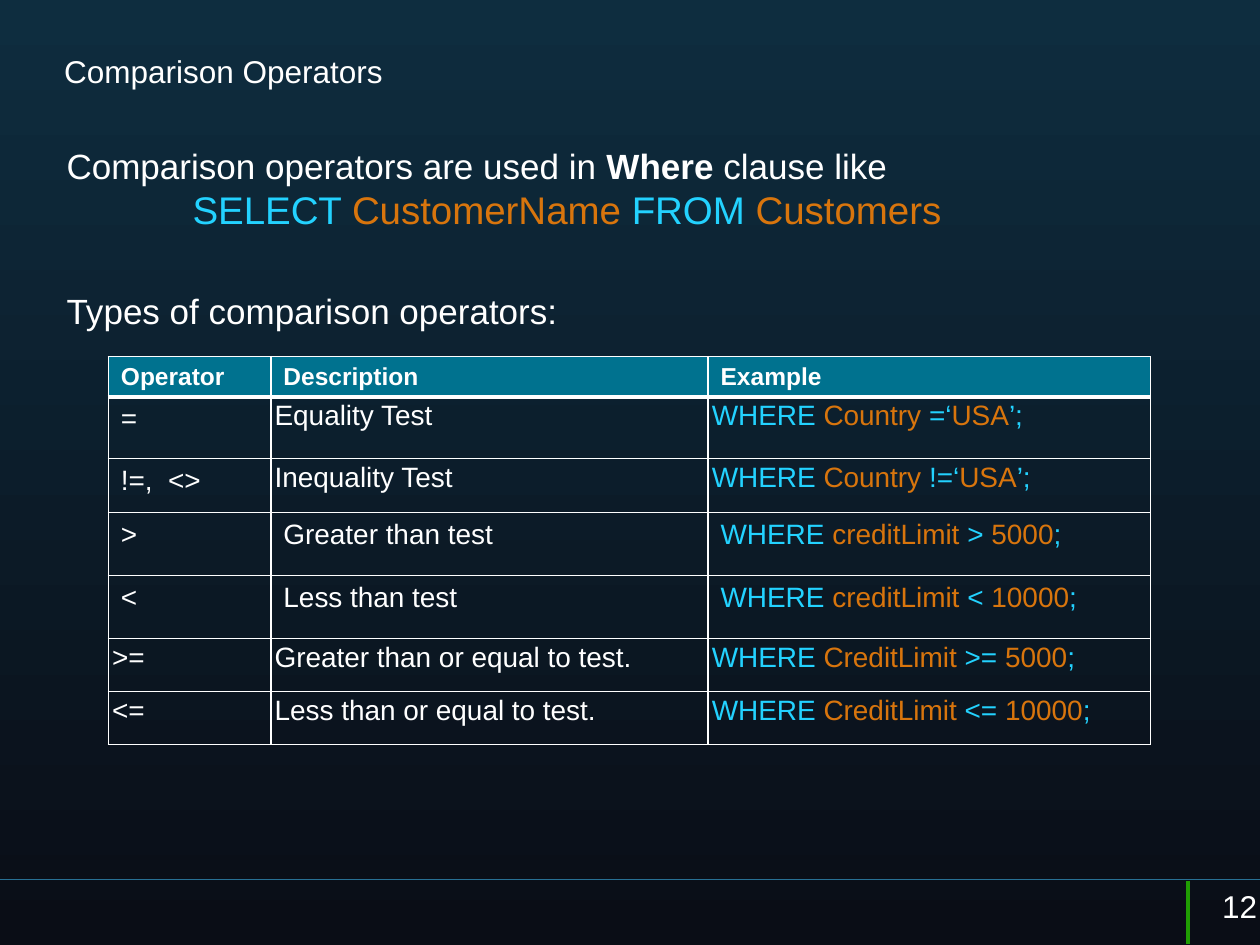
"""Build the slide on SQL comparison operators."""
from lxml.etree import SubElement
from pptx import Presentation
from pptx.dml.color import RGBColor as RGB
from pptx.enum.shapes import MSO_CONNECTOR
from pptx.enum.text import MSO_ANCHOR, PP_ALIGN
from pptx.oxml import parse_xml
from pptx.oxml.ns import nsdecls, qn
from pptx.util import Inches, Pt

WHITE = RGB(0xFF, 0xFF, 0xFF)
KEYWORD = RGB(0x23, 0xD2, 0xFF)
NAME = RGB(0xD8, 0x75, 0x0D)
HEADER = RGB(0x00, 0x72, 0x8F)
TEAL = RGB(0x28, 0x70, 0x94)
GREEN = RGB(0x20, 0x9D, 0x03)
SKY = RGB(0x0E, 0x2D, 0x3F)
NIGHT = RGB(0x0A, 0x0D, 0x16)

TITLE = "Comparison Operators"
INTRO = [
    [("Comparison operators are used in ", 20, WHITE), ("Where", 20, WHITE, True),
     (" clause like", 20, WHITE)],
    [("SELECT ", 22, KEYWORD), ("CustomerName ", 22, NAME),
     ("FROM ", 22, KEYWORD), ("Customers", 22, NAME)],
    [("Types of comparison operators:", 20, WHITE)],
]
HEADINGS = ["Operator", "Description", "Example"]
TESTS = [
    ("=", "Equality Test", ["WHERE ", "Country ", "=‘", "USA", "’;"]),
    ("!=,  <>", "Inequality Test", ["WHERE ", "Country ", "!=‘", "USA", "’;"]),
    (">", "Greater than test", ["WHERE ", "creditLimit ", "> ", "5000", ";"]),
    ("<", "Less than test", ["WHERE ", "creditLimit ", "< ", "10000", ";"]),
    (">=", "Greater than or equal to test.", ["WHERE ", "CreditLimit ", ">= ", "5000", ";"]),
    ("<=", "Less than or equal to test.", ["WHERE ", "CreditLimit ", "<= ", "10000", ";"]),
]
FIRST_TIGHT_COLUMN = [3, 1, 1, 3, 3, 0, 0]
COLUMNS = [1.29, 3.47, 3.51]
ROWS = [0.32, 0.49, 0.43, 0.5, 0.5, 0.42, 0.42]


def write(paragraph, pieces):
    for words, size, color, *bold in pieces:
        run = paragraph.add_run()
        run.text = words
        run.font.name, run.font.size = "Arial", Pt(size)
        run.font.bold = bool(bold)
        run.font.color.rgb = color


def rule(x1, y1, x2, y2, color, width):
    line = slide.shapes.add_connector(
        MSO_CONNECTOR.STRAIGHT, Inches(x1), Inches(y1), Inches(x2), Inches(y2))
    line.line.color.rgb, line.line.width = color, Pt(width)
    SubElement(line._element.spPr, qn("a:effectLst"))


def border(cell, **widths):
    for place, (side, width) in enumerate(widths.items()):
        cell._tc.get_or_add_tcPr().insert(place, parse_xml(
            f'<a:ln{side} {nsdecls("a")} w="{Pt(width)}"><a:solidFill>'
            f'<a:srgbClr val="{WHITE}"/></a:solidFill></a:ln{side}>'))


def cell_pieces(content, row):
    if row == 0:
        return [(content, 14, WHITE, True)]
    if isinstance(content, str):
        return [(content, 16, WHITE)]
    return [(part, 16, (KEYWORD, NAME)[i % 2]) for i, part in enumerate(content)]


deck = Presentation()
deck.slide_width, deck.slide_height = Inches(10), Inches(7.5)
slide = deck.slides.add_slide(deck.slide_layouts[5])
backdrop = slide.background.fill
backdrop.gradient()
backdrop.gradient_angle = 270
for stop, color in zip(backdrop.gradient_stops, (SKY, NIGHT)):
    stop.color.rgb = color

rule(10, 6.98, 0, 6.98, TEAL, 0.75)
rule(9.43, 6.99, 9.43, 7.49, GREEN, 2)

title = slide.shapes.title
title.left, title.top, title.width, title.height = map(Inches, (0.41, 0.36, 9.18, 0.66))
title.text_frame.vertical_anchor = MSO_ANCHOR.TOP
heading = title.text_frame.paragraphs[0]
heading.alignment = PP_ALIGN.LEFT
write(heading, [(TITLE, 18, WHITE)])

operators = slide.shapes.add_table(
    len(ROWS), len(COLUMNS), Inches(0.86), Inches(2.83),
    Inches(sum(COLUMNS)), Inches(sum(ROWS))).table
operators.horz_banding = False
for column, width in zip(operators.columns, COLUMNS):
    column.width = Inches(width)
for r, contents in enumerate([HEADINGS, *TESTS]):
    operators.rows[r].height = Inches(ROWS[r])
    for c, content in enumerate(contents):
        cell = operators.cell(r, c)
        write(cell.text_frame.paragraphs[0], cell_pieces(content, r))
        if c >= FIRST_TIGHT_COLUMN[r]:
            cell.margin_left = cell.margin_right = Inches(0.03)
            cell.margin_top = cell.margin_bottom = Inches(0.03)
        if r == 0:
            cell.fill.solid()
            cell.fill.fore_color.rgb = HEADER
        else:
            cell.fill.background()
        border(cell, L=1, R=1, T=3 if r == 1 else 1, B=3 if r == 0 else 1)

number = slide.shapes.add_textbox(Inches(9.6), Inches(6.99), Inches(0.48), Inches(0.4))
number.text_frame.word_wrap = False
write(number.text_frame.paragraphs[0], [("12", 18, WHITE)])

intro = slide.shapes.add_textbox(Inches(0.43), Inches(1.03), Inches(8.9), Inches(2.09)).text_frame
intro.word_wrap = True
for i, pieces in enumerate(INTRO):
    paragraph = intro.paragraphs[0] if i == 0 else intro.add_paragraph()
    write(paragraph, pieces)
    paragraph.line_spacing = 1.0 if i == 1 else 1.2
example, types = intro.paragraphs[1:]
example._p.get_or_add_pPr().set("marL", str(Inches(1)))
types.space_before = Pt(28)

deck.save("out.pptx")
